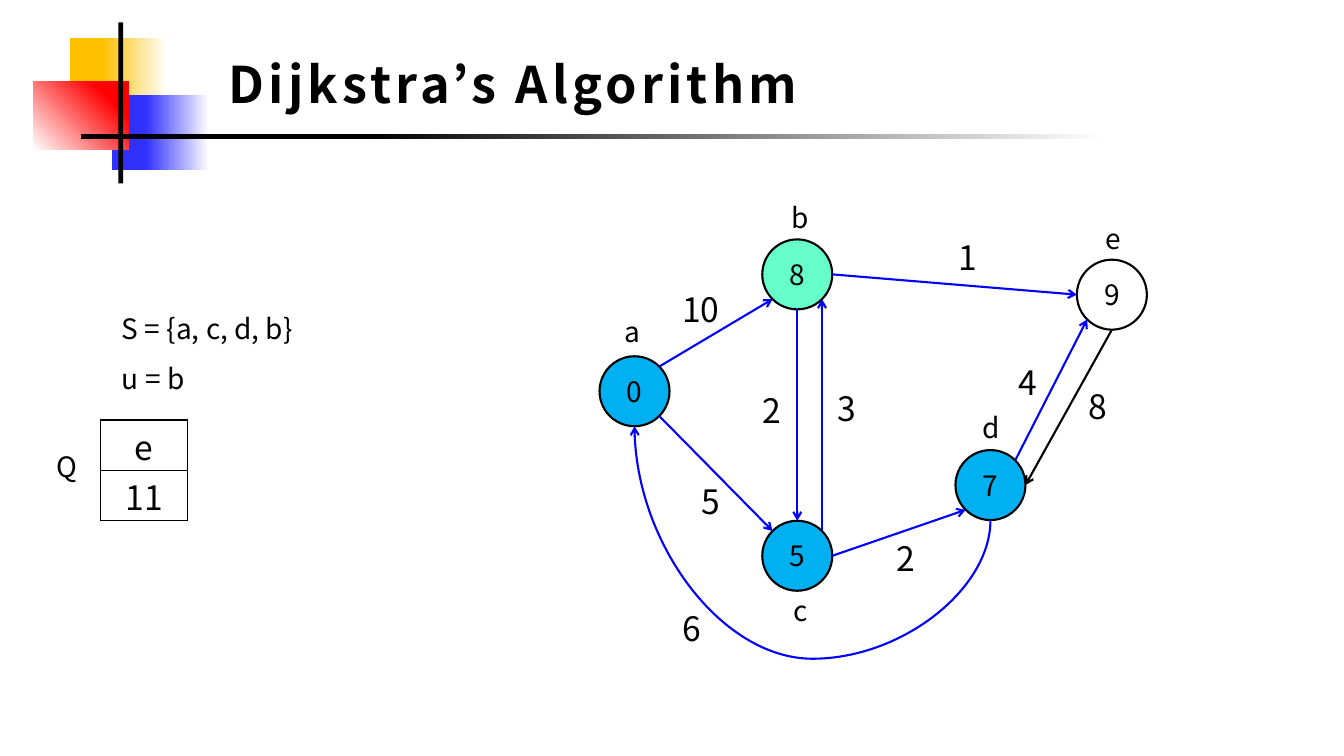
from math import cos, radians, sin

from lxml import etree
from pptx import Presentation
from pptx.dml.color import RGBColor
from pptx.enum.shapes import MSO_CONNECTOR, MSO_SHAPE
from pptx.enum.text import MSO_ANCHOR, MSO_AUTO_SIZE, PP_ALIGN
from pptx.oxml.ns import qn
from pptx.util import Pt

STRAIGHT, CURVE = MSO_CONNECTOR.STRAIGHT, MSO_CONNECTOR.CURVE
RECTANGLE, OVAL = MSO_SHAPE.RECTANGLE, MSO_SHAPE.OVAL
MIDDLE, CENTER = MSO_ANCHOR.MIDDLE, PP_ALIGN.CENTER
GROW = MSO_AUTO_SIZE.SHAPE_TO_FIT_TEXT

BLACK = RGBColor(0x00, 0x00, 0x00)
WHITE = RGBColor(0xFF, 0xFF, 0xFF)
YELLOW = RGBColor(0xFF, 0xC0, 0x00)
RED = RGBColor(0xFF, 0x00, 0x00)
BLUE = RGBColor(0x31, 0x31, 0xFD)
EDGE_BLUE = RGBColor(0x02, 0x02, 0xFC)
VISITED = RGBColor(0x00, 0xB0, 0xF0)
CURRENT = RGBColor(0x66, 0xFF, 0xCC)

FONT = "Noto Sans CJK KR"
RADIUS = 25

# Left, top, width, height, colour, gradient stop, gradient angle
ORNAMENTS = [
    (50, 27.5, 69.5, 68, YELLOW, 0.67, 180),
    (79.75, 67.75, 69.5, 54, BLUE, 0.65, 180),
    (23.75, 58, 68, 49, RED, 0.78, 45),
    (84.5, 16, 3.5, 115, BLACK, None, None),
    (57.75, 95.75, 731.5, 3.5, BLACK, 0.72, 180),
]

# Name: centre x, centre y, distance, fill
NODES = {
    "a": (453.25, 279.5, "0", VISITED),
    "b": (569.5, 196, "8", CURRENT),
    "e": (794.25, 210.5, "9", WHITE),
    "c": (569.5, 397, "5", VISITED),
    "d": (707.5, 346.5, "7", VISITED),
}

# Start node, angle on its rim, end node, angle on its rim (clockwise from right)
EDGES = [
    ("b", 90, "c", 270, EDGE_BLUE),
    ("a", 315, "b", 135, EDGE_BLUE),
    ("a", 45, "c", 225, EDGE_BLUE),
    ("c", 315, "b", 45, EDGE_BLUE),
    ("b", 0, "e", 180, EDGE_BLUE),
    ("c", 0, "d", 135, EDGE_BLUE),
    ("d", 315, "e", 135, EDGE_BLUE),
    ("e", 90, "d", 0, BLACK),
]

# Text, left, top, width
NODE_NAMES = [
    ("a", 439.25, 221, 23),
    ("b", 558, 139.75, 23),
    ("c", 559.5, 420.5, 23),
    ("d", 694.75, 289.5, 23),
    ("e", 782.75, 154.75, 23),
]
WEIGHTS = [
    ("6", 480.25, 430.5, 24.5),
    ("10", 480.25, 203, 42),
    ("1", 677.5, 165.5, 22.5),
    ("2", 537.75, 275, 41),
    ("3", 591, 273.5, 41),
    ("5", 494, 340, 41),
    ("8", 770.5, 272, 41),
    ("4", 720.75, 255, 41),
    ("2", 633, 381, 41),
]
STATE_TEXTS = [
    ("S = {a, c, d, b}", 80, 219, 214.5),
    ("u = b", 80, 255, 214.5),
    ("Q", 33, 317.5, 26),
]


def set_font(paragraph, size, bold=False):
    font = paragraph.font
    font.name, font.size, font.bold = FONT, Pt(size), bold
    font.color.rgb = BLACK


def add_text(slide, text, left, top, width, size, bold=False):
    box = slide.shapes.add_textbox(Pt(left), Pt(top), Pt(width), Pt(size * 1.5))
    frame = box.text_frame
    frame.word_wrap = True
    frame.auto_size = GROW
    paragraph = frame.paragraphs[0]
    paragraph.text = text
    set_font(paragraph, size, bold)
    return paragraph


def add_ornament(slide, left, top, width, height, color, stop, angle):
    """Add a plain block, or one that fades to white when a stop is given."""
    block = slide.shapes.add_shape(RECTANGLE, Pt(left), Pt(top), Pt(width), Pt(height))
    block.shadow.inherit = False
    block.line.fill.background()
    if stop is None:
        block.fill.solid()
        block.fill.fore_color.rgb = color
        return
    block.fill.gradient()
    block.fill.gradient_angle = angle
    faded, full = block.fill.gradient_stops
    faded.color.rgb, faded.position = WHITE, 0
    full.color.rgb, full.position = color, stop


def add_node(slide, x, y, distance, color):
    node = slide.shapes.add_shape(
        OVAL, Pt(x - RADIUS), Pt(y - RADIUS), Pt(2 * RADIUS), Pt(2 * RADIUS))
    node.shadow.inherit = False
    node.fill.solid()
    node.fill.fore_color.rgb = color
    node.line.color.rgb = BLACK
    node.line.width = Pt(1.5)
    node.text_frame.vertical_anchor = MIDDLE
    paragraph = node.text_frame.paragraphs[0]
    paragraph.text = distance
    paragraph.alignment = CENTER
    set_font(paragraph, 20)


def rim_point(name, angle):
    x, y = NODES[name][:2]
    return x + RADIUS * cos(radians(angle)), y + RADIUS * sin(radians(angle))


def add_arrow(slide, kind, start, end, color):
    arrow = slide.shapes.add_connector(kind, *(Pt(value) for value in (*start, *end)))
    arrow.line.color.rgb = color
    arrow.line.width = Pt(1.5)
    etree.SubElement(arrow.line._get_or_add_ln(), qn("a:tailEnd"), type="arrow")
    etree.SubElement(arrow._element.spPr, qn("a:effectLst"))
    return arrow


def add_return_edge(slide, start, end, depth):
    """Join two points by a curve that sags by depth below the start."""
    middle_x, middle_y = (start[0] + end[0]) / 2, (start[1] + end[1]) / 2
    half_x, half_y = (start[0] - end[0]) / 2, (start[1] - end[1]) / 2
    # The curve is laid out sideways, then turned a quarter clockwise.
    arrow = add_arrow(slide, CURVE, (middle_x + half_y, middle_y - half_x),
                      (middle_x - half_y, middle_y + half_x), EDGE_BLUE)
    properties = arrow._element.spPr
    properties.find(qn("a:xfrm")).set("rot", "5400000")
    geometry = properties.find(qn("a:prstGeom"))
    adjustments = geometry.find(qn("a:avLst"))
    if adjustments is None:
        adjustments = etree.SubElement(geometry, qn("a:avLst"))
    bend = round(-100000 * depth / (2 * half_y))
    etree.SubElement(adjustments, qn("a:gd"), name="adj1", fmla=f"val {bend}")


def add_border(cell):
    properties = cell._tc.get_or_add_tcPr()
    for index, side in enumerate(("lnL", "lnR", "lnT", "lnB")):
        line = etree.Element(qn(f"a:{side}"), w=str(Pt(1)))
        fill = etree.SubElement(line, qn("a:solidFill"))
        etree.SubElement(fill, qn("a:srgbClr"), val=str(BLACK))
        properties.insert(index, line)


def add_queue(slide, values, left, top, width, row_height):
    frame = slide.shapes.add_table(
        len(values), 1, Pt(left), Pt(top), Pt(width), Pt(row_height * len(values)))
    table = frame.table
    table.first_row = table.horz_banding = False
    for cell, value in zip(table.iter_cells(), values):
        cell.fill.solid()
        cell.fill.fore_color.rgb = WHITE
        cell.margin_top, cell.margin_bottom = Pt(1), Pt(0)
        cell.vertical_anchor = MIDDLE
        paragraph = cell.text_frame.paragraphs[0]
        paragraph.text = value
        paragraph.alignment = CENTER
        set_font(paragraph, 24)
        add_border(cell)


def main():
    presentation = Presentation()
    presentation.slide_width, presentation.slide_height = Pt(960), Pt(540)
    slide = presentation.slides.add_slide(presentation.slide_layouts[6])

    title = add_text(slide, "Dijkstra’s Algorithm", 156.25, 34.5, 527, 36, bold=True)
    title.runs[0].font._element.set("spc", "300")
    for ornament in ORNAMENTS:
        add_ornament(slide, *ornament)

    for node in NODES.values():
        add_node(slide, *node)
    for start, start_angle, end, end_angle, color in EDGES:
        add_arrow(slide, STRAIGHT, rim_point(start, start_angle),
                  rim_point(end, end_angle), color)
    add_return_edge(slide, rim_point("d", 90), rim_point("a", 90), 99)

    for name in NODE_NAMES + STATE_TEXTS:
        add_text(slide, *name, 20)
    for weight in WEIGHTS:
        add_text(slide, *weight, 24)
    add_queue(slide, ["e", "11"], 72, 300, 62, 36)
    presentation.save("out.pptx")


if __name__ == "__main__":
    main()
